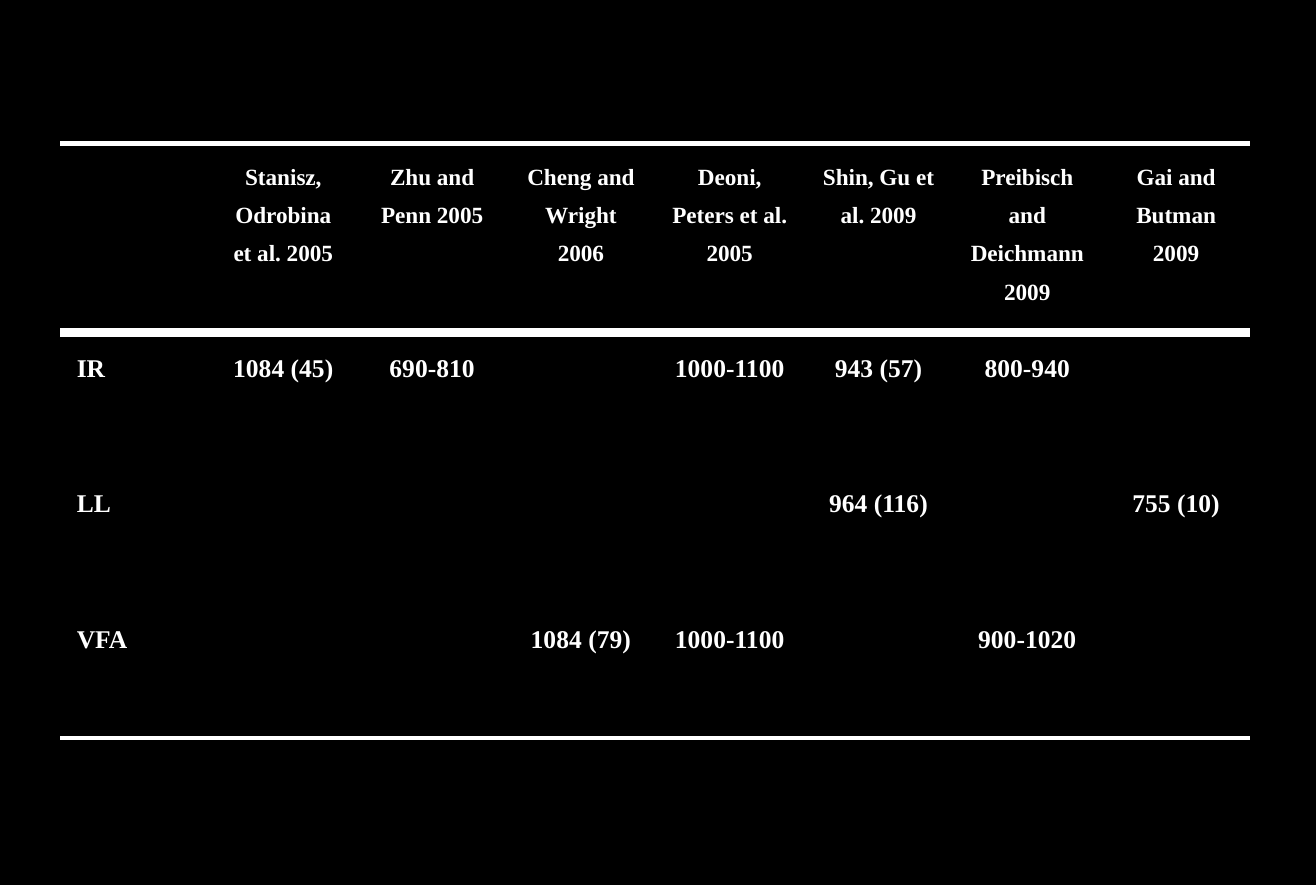
from dataclasses import dataclass

from lxml import etree
from pptx import Presentation
from pptx.dml.color import RGBColor
from pptx.enum.text import PP_ALIGN
from pptx.oxml.ns import qn
from pptx.util import Inches, Pt

LEFT, CENTER = PP_ALIGN.LEFT, PP_ALIGN.CENTER
PAGE_WIDTH, PAGE_HEIGHT = 7.88, 5.3
TABLE_LEFT, TABLE_TOP, TABLE_WIDTH = 0.36, 0.86, 7.13
FONT = "Times New Roman"
BLACK, WHITE = "000000", "FFFFFF"
THIN, THICK = 2.25, 4.5


@dataclass(frozen=True)
class TableRow:
    texts: tuple[str, ...]
    height: float = 0.81
    size: float = 11
    rule_above: float = 0
    rule_below: float = 0


ROWS = (
    TableRow(
        ("", "Stanisz, Odrobina et al. 2005", "Zhu and Penn 2005",
         "Cheng and Wright 2006", "Deoni, Peters et al. 2005",
         "Shin, Gu et al. 2009", "Preibisch and Deichmann 2009",
         "Gai and Butman 2009"),
        height=1.13, size=10, rule_above=THIN, rule_below=THICK,
    ),
    TableRow(
        ("IR", "1084 (45)", "690-810", "", "1000-1100", "943 (57)", "800-940", ""),
        rule_above=THICK,
    ),
    TableRow(("LL", "", "", "", "", "964 (116)", "", "755 (10)")),
    TableRow(
        ("VFA", "", "", "1084 (79)", "1000-1100", "", "900-1020", ""),
        rule_below=THIN,
    ),
)


def color(value: str) -> RGBColor:
    return RGBColor.from_string(value)


def write_text(cell, text: str, *, size: float, align=CENTER) -> None:
    para = cell.text_frame.paragraphs[0]
    para.alignment = align
    para.line_spacing = 1.5
    para.space_after = Pt(6)
    span = para.add_run()
    span.text = text
    span.font.name = FONT
    span.font.size = Pt(size)
    span.font.bold = True
    span.font.color.rgb = color(WHITE)


def set_borders(cell, above: float, below: float) -> None:
    properties = cell._tc.get_or_add_tcPr()
    widths = {"a:lnL": 0, "a:lnR": 0, "a:lnT": above, "a:lnB": below}
    for position, (side, width) in enumerate(widths.items()):
        line = etree.Element(qn(side), w=str(Pt(width)))
        if width:
            fill = etree.SubElement(line, qn("a:solidFill"))
            etree.SubElement(fill, qn("a:srgbClr"), val=WHITE)
        else:
            etree.SubElement(line, qn("a:noFill"))
        properties.insert(position, line)


def draw_table(page, rows: tuple[TableRow, ...]) -> None:
    height = sum(row.height for row in rows)
    table = page.shapes.add_table(
        len(rows), len(rows[0].texts), Inches(TABLE_LEFT), Inches(TABLE_TOP),
        Inches(TABLE_WIDTH), Inches(height),
    ).table
    table.first_row = False
    table.horz_banding = False
    for row_index, row in enumerate(rows):
        table.rows[row_index].height = Inches(row.height)
        for column, text in enumerate(row.texts):
            cell = table.cell(row_index, column)
            cell.fill.background()
            set_borders(cell, row.rule_above, row.rule_below)
            if text:
                write_text(cell, text, size=row.size, align=CENTER if column else LEFT)


def main() -> None:
    deck = Presentation()
    deck.slide_width = Inches(PAGE_WIDTH)
    deck.slide_height = Inches(PAGE_HEIGHT)
    page = deck.slides.add_slide(deck.slide_layouts[6])
    page.background.fill.solid()
    page.background.fill.fore_color.rgb = color(BLACK)
    draw_table(page, ROWS)
    deck.save("out.pptx")


if __name__ == "__main__":
    main()
